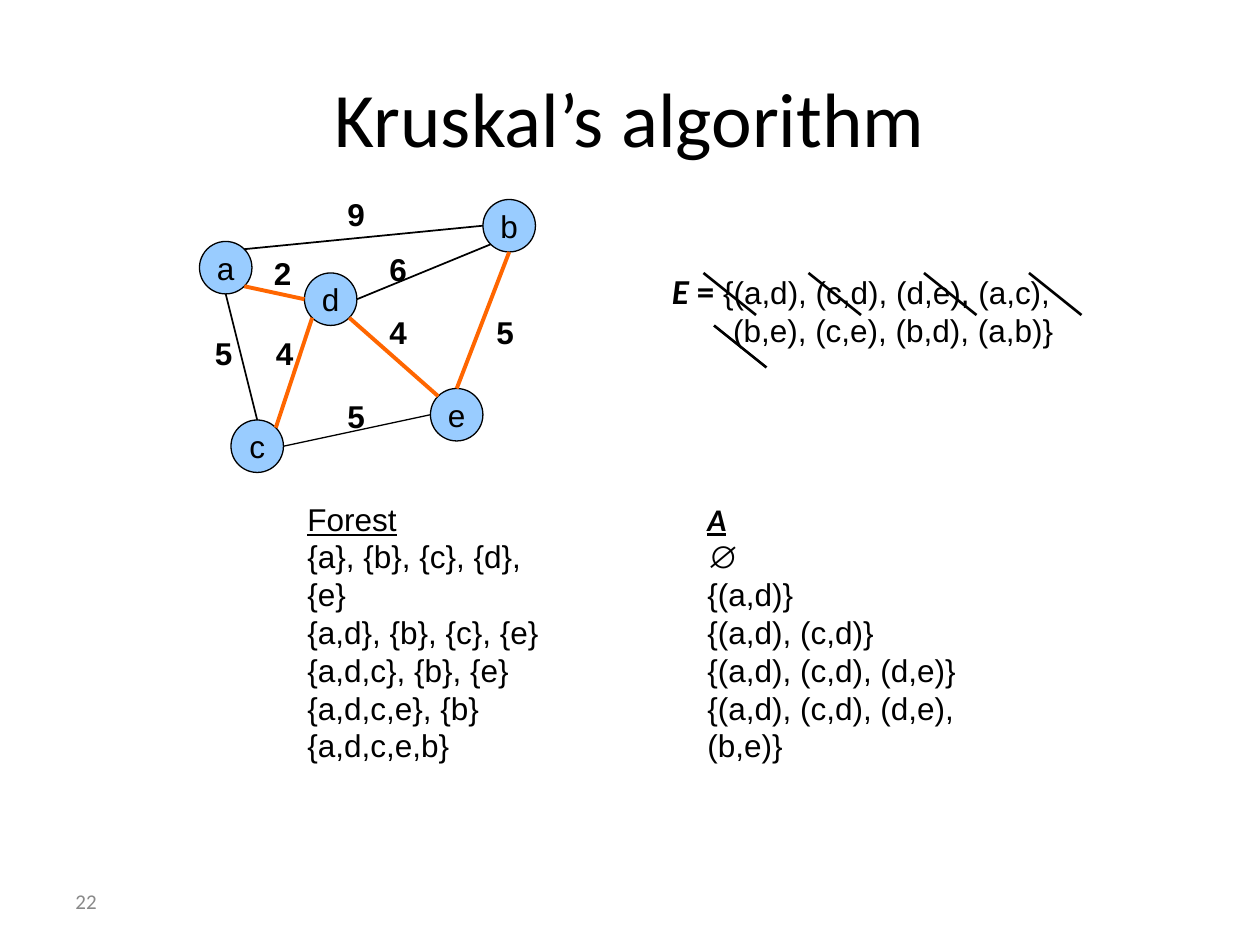
import math

import pptx
import pptx.dml.color
import pptx.enum.shapes
import pptx.enum.text
import pptx.oxml
import pptx.oxml.ns
import pptx.util

ALIGN = pptx.enum.text.PP_ALIGN
ANCHOR = pptx.enum.text.MSO_ANCHOR
COLORS = {"text": "000000", "number": "898989", "node": "99CCFF",
          "edge": "000000", "tree": "FF6600"}

# Grid of 120 columns by 90 rows, twelve to the inch
UNIT = 1 / 12
NODE = 5
NODES = {"a": (19, 23), "c": (22, 40), "e": (41, 37), "d": (29, 26), "b": (46, 19)}

# Directions on a node, in degrees clockwise from the right
SIDES = {"right": 0, "bottom right": 45, "bottom": 90, "bottom left": 135,
         "left": 180, "top left": 225, "top": 270, "top right": 315}

# Start node and side, end node and side, color, width
EDGES = [
    ("a", "top right", "b", "left", "edge", 1),
    ("d", "right", "b", "bottom left", "edge", 1),
    ("a", "bottom", "c", "top", "edge", 1),
    ("a", "bottom right", "d", "left", "tree", 2.25),
    ("c", "top right", "d", "bottom left", "tree", 2.25),
    ("d", "bottom right", "e", "top left", "tree", 2.25),
    ("b", "bottom", "e", "top", "tree", 2.25),
    ("e", "left", "c", "right", "edge", 0.75),
]
WEIGHTS = [("2", 24.9, 23.6), ("4", 25.1, 31.2), ("5", 19.3, 31.2), ("9", 31.9, 18),
           ("6", 35.9, 23.2), ("4", 35.9, 29.2), ("5", 31.9, 37.2), ("5", 46.1, 29.2)]
STRIKES = [(67, 26), (77, 26), (88, 26), (98, 26), (68, 31)]

FOREST = ["Forest", "{a}, {b}, {c}, {d}, {e}", "{a,d}, {b}, {c}, {e}",
          "{a,d,c}, {b}, {e}", "{a,d,c,e}, {b}", "{a,d,c,e,b}"]
CHOSEN = ["A", "∅", "{(a,d)}", "{(a,d), (c,d)}", "{(a,d), (c,d), (d,e)}",
          "{(a,d), (c,d), (d,e), (b,e)}"]


def grid(*values):
    return [pptx.util.Inches(v * UNIT) for v in values]


def rgb(name):
    return pptx.dml.color.RGBColor.from_string(COLORS[name])


def set_font(font, size=18, name="Arial", color="text", **style):
    font.size = pptx.util.Pt(size)
    font.name = name
    font.color.rgb = rgb(color)
    for key, value in style.items():
        setattr(font, key, value)


def add_text(s, box, lines, anchor=ANCHOR.TOP, **style):
    tf = s.shapes.add_textbox(*grid(*box)).text_frame
    tf.text = "\n".join(lines)
    tf.word_wrap = False
    tf.auto_size = pptx.enum.text.MSO_AUTO_SIZE.SHAPE_TO_FIT_TEXT
    tf.vertical_anchor = anchor
    for p in tf.paragraphs:
        set_font(p.font, **style)
    return tf


def add_line(s, start, end, color, width):
    line = s.shapes.add_connector(pptx.enum.shapes.MSO_CONNECTOR.STRAIGHT,
                                  *grid(*start, *end))
    line.line.color.rgb = rgb(color)
    line.line.width = pptx.util.Pt(width)
    effects = pptx.oxml.parse_xml(f"<a:effectLst {pptx.oxml.ns.nsdecls('a')}/>")
    line._element.spPr.append(effects)


def add_node(s, name):
    sp = s.shapes.add_shape(pptx.enum.shapes.MSO_SHAPE.OVAL,
                            *grid(*NODES[name], NODE, NODE))
    sp.shadow.inherit = False
    sp.fill.solid()
    sp.fill.fore_color.rgb = rgb("node")
    sp.line.color.rgb = rgb("edge")
    sp.line.width = pptx.util.Pt(0.75)
    tf = sp.text_frame
    tf.text = name
    tf.word_wrap = False
    tf.vertical_anchor = ANCHOR.MIDDLE
    p = tf.paragraphs[0]
    p.alignment = ALIGN.CENTER
    set_font(p.font)


def node_point(name, side):
    col, row = NODES[name]
    angle = math.radians(SIDES[side])
    radius = NODE / 2
    return (col + radius + radius * math.cos(angle),
            row + radius + radius * math.sin(angle))


def add_title(s, text):
    title = s.shapes.title
    title.left, title.top, title.width, title.height = grid(6, 3.6, 108, 15)
    tf = title.text_frame
    tf.text = text
    tf.vertical_anchor = ANCHOR.MIDDLE
    p = tf.paragraphs[0]
    p.alignment = ALIGN.CENTER
    set_font(p.font, 44, "Calibri")


def add_edge_list(s):
    tf = add_text(s, (62.8, 25, 39.2, 8.9), ["", "(b,e), (c,e), (b,d), (a,b)}"],
                  ANCHOR.MIDDLE)
    first, second = tf.paragraphs
    for text, italic in (("E ", True), ("=", False)):
        r = first.add_run()
        r.text = text
        set_font(r.font, 20, "Calibri", bold=True, italic=italic)
    first.add_run().text = " {(a,d), (c,d), (d,e), (a,c),"
    # Second line starts under the opening brace
    second._p.get_or_add_pPr().set("marL", str(pptx.util.Pt(35)))


def add_steps(s, box, lines, **heading):
    tf = add_text(s, box, lines)
    set_font(tf.paragraphs[0].font, underline=True, **heading)


def main():
    prs = pptx.Presentation()
    prs.slide_width, prs.slide_height = grid(120, 90)
    s = prs.slides.add_slide(prs.slide_layouts[5])

    # Title and page number
    add_title(s, "Kruskal’s algorithm")
    number = add_text(s, (6, 83.4, 28, 4.8), ["22"], ANCHOR.MIDDLE,
                      size=12, name="Calibri", color="number")
    number.auto_size = pptx.enum.text.MSO_AUTO_SIZE.NONE
    number.word_wrap = True

    # Sorted edges and the steps of the algorithm
    add_edge_list(s)
    add_steps(s, (28.1, 47, 27.2, 22.8), FOREST)
    add_steps(s, (66.2, 47, 33.8, 22.8), CHOSEN, name="Calibri", bold=True, italic=True)

    # Weighted graph
    for name in NODES:
        add_node(s, name)
    for start, start_side, end, end_side, color, width in EDGES:
        add_line(s, node_point(start, start_side), node_point(end, end_side),
                 color, width)
    for weight, col, row in WEIGHTS:
        add_text(s, (col, row, 4.1, 4.8), [weight], bold=True)

    # Strokes through the edges already taken
    for col, row in STRIKES:
        add_line(s, (col, row), (col + 5, row + 4), "edge", 1.5)

    prs.save("out.pptx")


if __name__ == "__main__":
    main()
